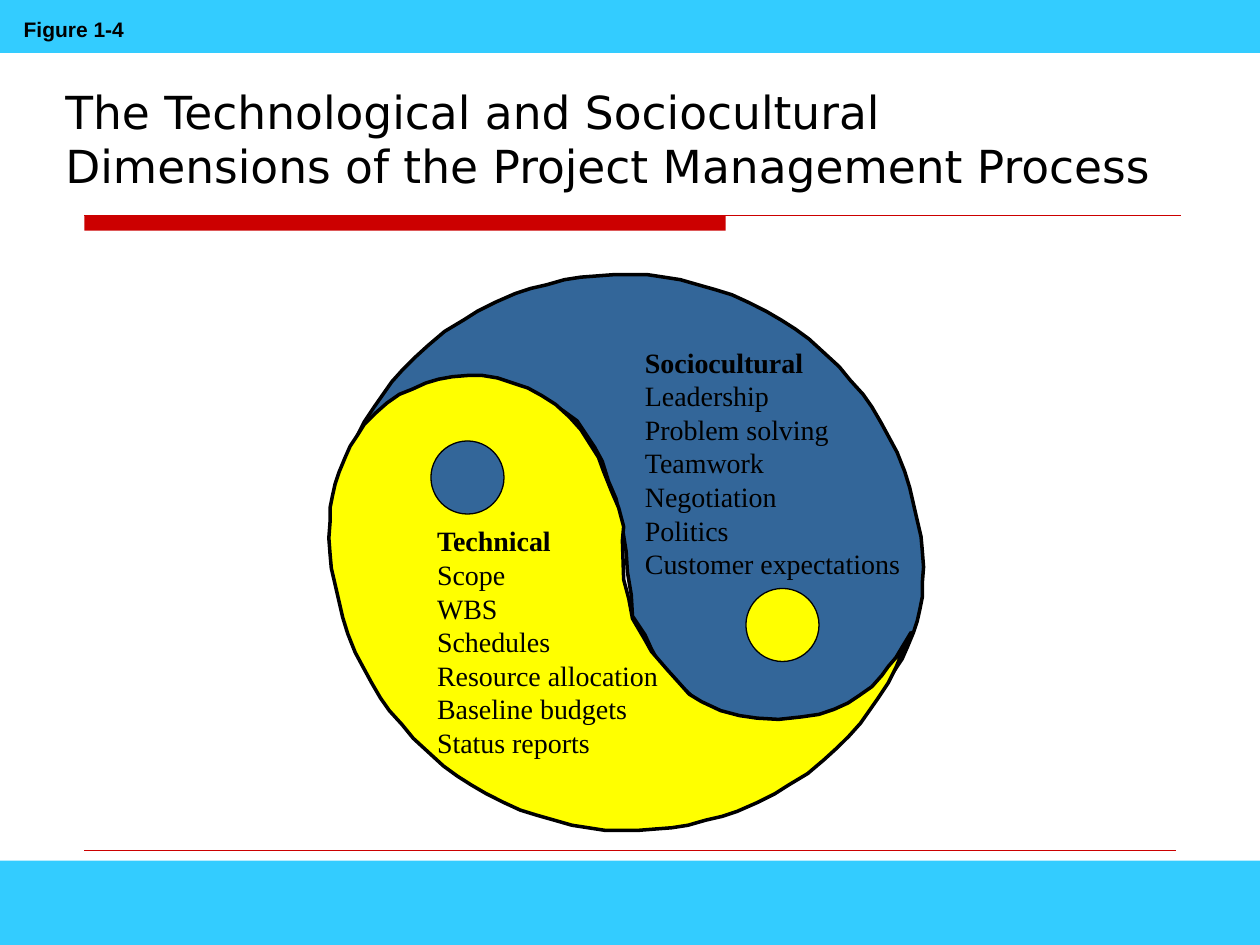
from lxml import etree
from pptx import Presentation
from pptx.dml.color import RGBColor
from pptx.enum.shapes import MSO_CONNECTOR as CONNECTOR, MSO_SHAPE as SHAPE
from pptx.enum.text import MSO_ANCHOR as ANCHOR
from pptx.oxml.ns import qn
from pptx.util import Inches, Pt

COLORS = {"band": "33CCFF", "rule": "CC0000", "social": "336699",
          "technical": "FFFF00", "ink": "000000"}

# Outlines in hundredths of an inch; the emblem's frame starts at FRAME_START
FRAME_START = (261, 218)
MIRROR_SUM = (994, 877)  # each lobe is the other turned half round its centre
LOBE = [
    (447, 326), (437, 320), (422, 313), (407, 309), (393, 307), (376, 306),
    (358, 308), (344, 310), (332, 314), (321, 319), (312, 325), (302, 332),
    (294, 341), (289, 348), (283, 355), (271, 375), (278, 359), (283, 347),
    (289, 335), (297, 323), (304, 313), (311, 303), (320, 293), (329, 284),
    (340, 274), (353, 263), (368, 254), (379, 247), (393, 240), (409, 233),
    (421, 229), (434, 226), (448, 222), (461, 220), (474, 219), (487, 218),
    (500, 218), (514, 218), (527, 220), (540, 222), (554, 226), (568, 230),
    (581, 234), (594, 240), (608, 247), (620, 254), (631, 261), (642, 269),
    (654, 280), (666, 291), (675, 302), (685, 313), (692, 323), (699, 335),
    (705, 346), (712, 359), (718, 374), (722, 387), (725, 400), (728, 413),
    (731, 426), (732, 437), (733, 450), (732, 463), (732, 474), (730, 484),
    (728, 493), (725, 502), (720, 514), (716, 523), (710, 532), (705, 540),
    (696, 549), (687, 557), (677, 564), (667, 568), (656, 573), (646, 576),
    (635, 578), (623, 579), (611, 579), (599, 577), (587, 573), (575, 569),
    (564, 563), (553, 556), (542, 546), (533, 536),
]
SOCIAL_SEAM = [
    (523, 526), (517, 515), (512, 504), (502, 489), (501, 472), (498, 454),
    (497, 438), (494, 419), (489, 396), (483, 382), (478, 366), (472, 355),
    (466, 346), (458, 334),
]
TECHNICAL_SEAM = [
    (468, 352), (475, 363), (479, 374), (485, 389), (491, 403), (495, 418),
    (494, 429), (495, 460), (499, 475), (502, 491), (512, 508), (517, 517),
    (530, 532), (539, 542),
]


def color(name):
    return RGBColor.from_string(COLORS[name])


def paint(shape, fill, line_width=None):
    shape.shadow.inherit = False
    shape.fill.solid()
    shape.fill.fore_color.rgb = color(fill)
    if line_width is None:
        shape.line.fill.background()
    else:
        shape.line.color.rgb = color("ink")
        shape.line.width = Pt(line_width)


def add_shape(page, kind, box, fill, line_width=None):
    paint(page.shapes.add_shape(kind, *box), fill, line_width)


def add_rule(page, left, top, width, weight):
    rule = page.shapes.add_connector(CONNECTOR.STRAIGHT, left, top, left + width, top)
    rule.line.color.rgb = color("rule")
    rule.line.width = Pt(weight)
    etree.SubElement(rule._element.spPr, qn("a:effectLst"))


def add_text(page, box, texts, font, size, bold_first=False,
             anchor=ANCHOR.TOP, spacing=None):
    frame = page.shapes.add_textbox(*box).text_frame
    frame.word_wrap = True
    frame.vertical_anchor = anchor
    for index, text in enumerate(texts):
        para = frame.add_paragraph() if index else frame.paragraphs[0]
        para.text = text
        para.font.name = font
        para.font.size = Pt(size)
        para.font.bold = bold_first and index == 0
        para.font.color.rgb = color("ink")
        if spacing:
            para.line_spacing = Pt(spacing)


def add_header(page, left, top, width, height):
    # Band with the figure number
    add_shape(page, SHAPE.RECTANGLE, (left, top, width, Inches(0.42)), "band")
    add_text(page, (left + Inches(0.09), top + Inches(0.08), Inches(1.1), Inches(0.3)),
             ["Figure 1-4"], "Arial", 12, bold_first=True)
    # Title over a thick and thin rule
    add_text(page, (left + Inches(0.42), top + Inches(0.5), Inches(9.42), Inches(1.08)),
             ["The Technological and Sociocultural\nDimensions of the Project Management Process"],
             "DejaVu Sans", 26, anchor=ANCHOR.BOTTOM)
    bar_left, bar_top = left + Inches(0.67), top + height - Inches(0.12)
    add_shape(page, SHAPE.RECTANGLE, (bar_left, bar_top, Inches(5.09), Inches(0.12)), "rule")
    add_rule(page, bar_left, bar_top, Inches(8.7), 1)


def add_footer(page, left, top, width, height):
    add_rule(page, left + Inches(0.67), top, Inches(8.66), 0.25)
    band_top = top + Inches(0.08)
    add_shape(page, SHAPE.RECTANGLE, (left, band_top, width, top + height - band_top), "band")


def add_lobe(page, left, top, points, fill):
    unit = Inches(0.01)
    builder = page.shapes.build_freeform(*points[0], scale=unit)
    builder.add_line_segments(points[1:], close=True)
    lobe = builder.convert_to_shape(left - FRAME_START[0] * unit, top - FRAME_START[1] * unit)
    paint(lobe, fill, 2)


def add_emblem(page, left, top):
    # Interlocking lobes
    turned = [(MIRROR_SUM[0] - x, MIRROR_SUM[1] - y) for x, y in LOBE]
    add_lobe(page, left, top, SOCIAL_SEAM + LOBE, "social")
    add_lobe(page, left, top, TECHNICAL_SEAM + turned, "technical")

    # Eyes
    eye = Inches(0.58)
    for x, y, fill in [(0.81, 1.32, "social"), (3.31, 2.49, "technical")]:
        add_shape(page, SHAPE.OVAL, (left + Inches(x), top + Inches(y), eye, eye), fill, 0.75)

    # Lists of topics, each line with room to spare
    for x, y, width, heading, topics in [
        (2.41, 0.51, 2.32, "Sociocultural",
         ["Leadership", "Problem solving", "Teamwork", "Negotiation", "Politics",
          "Customer expectations"]),
        (0.76, 1.93, 2.05, "Technical",
         ["Scope", "WBS", "Schedules", "Resource allocation", "Baseline budgets",
          "Status reports"]),
    ]:
        box = (left + Inches(x), top + Inches(y), Inches(width), Inches(1.97))
        add_text(page, box, [heading, "\n".join(topics)], "Times New Roman", 16,
                 bold_first=True, spacing=19.2)


def main():
    deck = Presentation()
    deck.slide_width, deck.slide_height = Inches(10), Inches(7.5)
    page = deck.slides.add_slide(deck.slide_layouts[6])
    add_header(page, 0, 0, deck.slide_width, Inches(1.83))
    add_footer(page, 0, Inches(6.75), deck.slide_width, Inches(0.75))
    add_emblem(page, Inches(2.61), Inches(2.18))
    deck.save("out.pptx")


if __name__ == "__main__":
    main()
